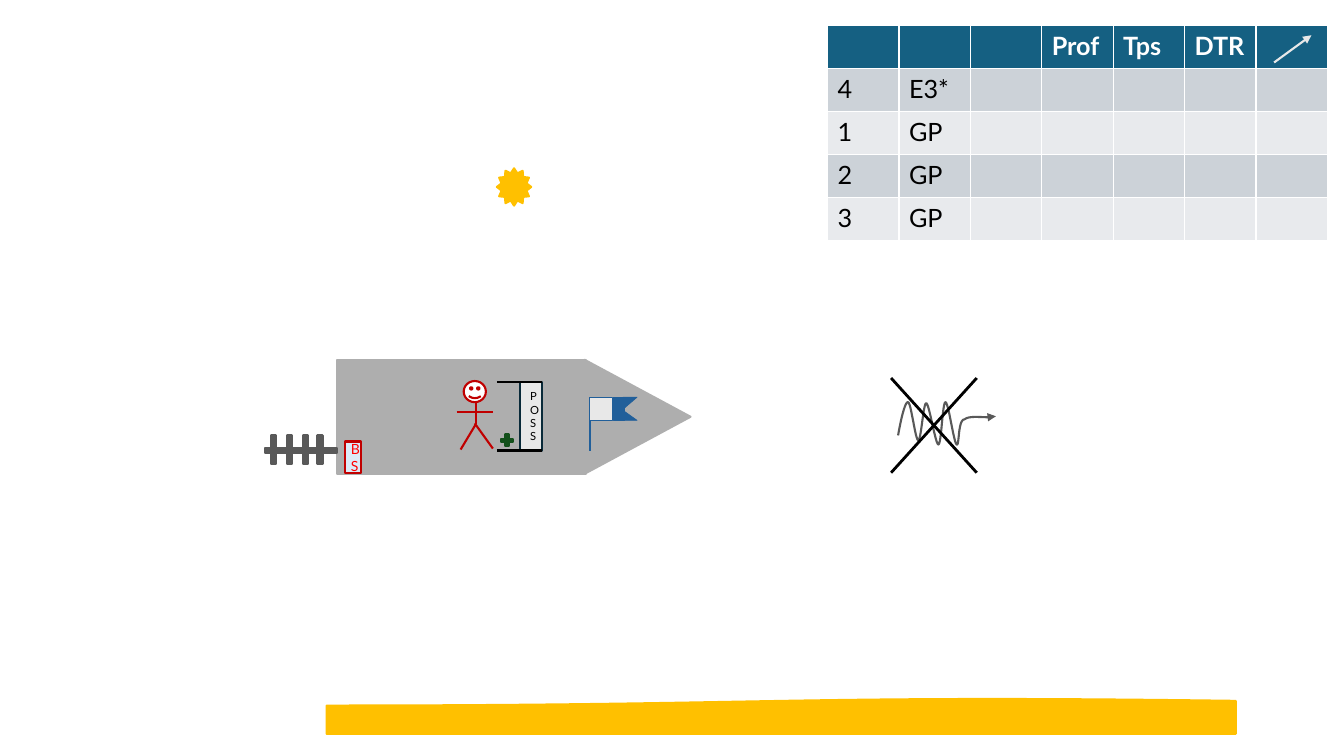
from lxml import etree
from pptx import Presentation, util as u
from pptx.dml.color import RGBColor
from pptx.enum import shapes as s, text as t
from pptx.oxml import ns

CELL = u.Inches(0.1)  # the slide is a grid of 133.3 columns by 75 rows
KIND = s.MSO_SHAPE
FONT = "Lato"

WHITE = RGBColor(0xFF, 0xFF, 0xFF)
BLACK = RGBColor(0, 0, 0)
GOLD = RGBColor(0xFF, 0xC0, 0x00)
HULL = RGBColor(0xAE, 0xAE, 0xAE)
STEEL = RGBColor(0x59, 0x59, 0x59)
RED = RGBColor(0xC0, 0x00, 0x00)
BRIGHT = RGBColor(0xFF, 0x00, 0x00)
PALE = RGBColor(0xDC, 0xEA, 0xF7)
FLAG = RGBColor(0x21, 0x5F, 0x9A)
LIGHT = RGBColor(0xE8, 0xE8, 0xE8)
NAVY = RGBColor(0x09, 0x2A, 0x39)
GREEN = RGBColor(0x13, 0x50, 0x1B)
HEAD = RGBColor(0x15, 0x60, 0x82)
BANDS = [RGBColor(0xCC, 0xD2, 0xD8), RGBColor(0xE8, 0xEA, 0xED)]

ROWS = [
    ["", "", "", "Prof", "Tps", "DTR", ""],
    ["4", "E3*"],
    ["1", "GP"],
    ["2", "GP"],
    ["3", "GP"],
]
START = (89.1, 43.2)
CURVES = [  # two control points and an end point each
    [(89.4, 41.5), (89.8, 39.8), (90.1, 39.9)],
    [(90.4, 40), (90.8, 43.6), (91.1, 43.7)],
    [(91.4, 43.7), (91.6, 39.9), (91.9, 40)],
    [(92.2, 40.1), (92.8, 44.1), (93.1, 44.1)],
    [(93.4, 44.1), (93.5, 39.9), (93.8, 39.9)],
    [(94.1, 39.9), (94.6, 43.8), (94.9, 44.1)],
    [(95.2, 44.4), (95, 41.6), (95.7, 41.6)],
    [(96.3, 41.1), (98.3, 41.6), (98.8, 41.3)],
]


def grid(*vals):
    return [round(v * CELL) for v in vals]


def style(run, size, color, bold=False):
    run.font.name, run.font.size = FONT, u.Pt(size)
    run.font.color.rgb, run.font.bold = color, bold


def block(parent, kind, box, fill, edge=None, width=1.5, turn=0):
    shape = parent.add_shape(kind, *grid(*box))
    shape.shadow.inherit = False
    shape.fill.solid()
    shape.fill.fore_color.rgb = fill
    shape.line.color.rgb = edge or fill
    shape.line.width = u.Pt(width)
    shape.rotation = turn
    return shape


def label(shape, word, size, color):
    """Write a word downwards, one letter to a line."""
    frame = shape.text_frame
    frame.text = "\n".join(word)
    frame.vertical_anchor = t.MSO_ANCHOR.MIDDLE
    for para in frame.paragraphs:
        para.alignment = t.PP_ALIGN.CENTER
        style(para.runs[0], size, color)


def arrow(shape):
    """Put a triangle at the end of a line."""
    ln = shape.line._get_or_add_ln()
    etree.SubElement(ln, ns.qn("a:tailEnd"), type="triangle")


def line(parent, ends, color, width=1.5):
    link = parent.add_connector(s.MSO_CONNECTOR.STRAIGHT, *grid(*ends))
    link.line.color.rgb = color
    link.line.width = u.Pt(width)
    etree.SubElement(link._element.spPr, ns.qn("a:effectLst"))
    return link


def bend(start, curve, steps=12):
    """Points along a cubic curve, without its start."""
    pts = [start, *curve]
    for step in range(1, steps + 1):
        k = step / steps
        parts = ((1 - k) ** 3, 3 * k * (1 - k) ** 2, 3 * k * k * (1 - k), k ** 3)
        yield grid(*(sum(p * pt[i] for p, pt in zip(parts, pts)) for i in (0, 1)))


def ship(parent):
    block(parent, KIND.RECTANGLE, (33.4, 35.7, 24.7, 11.3), HULL)
    block(parent, KIND.ISOSCELES_TRIANGLE, (57.6, 36.1, 11.3, 10.5), HULL, turn=90)
    block(parent, KIND.RECTANGLE, (26.3, 44.4, 7.1, 0.5), STEEL)
    for left in (31.5, 30.1, 28.5, 26.9):
        block(parent, KIND.RECTANGLE, (left, 43.2, 0.5, 2.8), STEEL)
    stern = block(parent, KIND.RECTANGLE, (34.2, 43.8, 1.6, 3.1), PALE, RED)
    label(stern, "BS", 10, BRIGHT)


def flag(parent):
    line(parent, (58.5, 39.4, 58.5, 44.7), FLAG)
    block(parent, KIND.RECTANGLE, (60.8, 39.4, 1.1, 2.3), FLAG, width=0.5)
    block(parent, KIND.RIGHT_TRIANGLE, (61.9, 39.3, 1.2, 1.4), FLAG, width=0.5, turn=90)
    block(parent, KIND.RECTANGLE, (58.5, 39.4, 2.3, 2.3), LIGHT, FLAG, 0.5)
    tip = block(parent, KIND.RIGHT_TRIANGLE, (62, 40.5, 1, 1.4), FLAG, width=0.5, turn=90)
    tip._element.spPr.xfrm.set("flipH", "1")


def post(parent):
    board = block(parent, KIND.RECTANGLE, (51.6, 37.9, 2.2, 6.8), LIGHT, NAVY)
    label(board, "POSS", 8, BLACK)
    for row in (37.9, 44.7):
        line(parent, (49.3, row, 53.8, row), BLACK)
    block(parent, KIND.MATH_PLUS, (49.5, 42.9, 1.6, 1.6), GREEN)


def diver(parent):
    block(parent, KIND.SMILEY_FACE, (46, 37.8, 2.2, 2.1), WHITE, RED)
    for ends in (
        (47.2, 39.9, 47.2, 42.1),
        (47.1, 42, 48.9, 44.5),
        (47.2, 42.1, 45.7, 44.6),
        (45.3, 40.9, 48.9, 40.9),
    ):
        line(parent, ends, RED)


def table(parent):
    tab = parent.add_table(5, 7, *grid(82.1, 2.5, 49.6, 21.4)).table
    for r, row in enumerate(tab.rows):
        words = ROWS[r] + [""] * (7 - len(ROWS[r]))
        for cell, word in zip(row.cells, words):
            cell.fill.solid()
            cell.fill.fore_color.rgb = BANDS[(r - 1) % 2] if r else HEAD
            if word:
                cell.text_frame.text = word
                run = cell.text_frame.paragraphs[0].runs[0]
                style(run, 18, BLACK if r else WHITE, r == 0)


def wave(parent):
    points, start = [], START
    for curve in CURVES:
        points += bend(start, curve)
        start = curve[-1]
    pen = parent.build_freeform(*grid(*START))
    pen.add_line_segments(points, close=False)
    shape = pen.convert_to_shape()
    shape.shadow.inherit = False
    shape.fill.background()
    shape.line.color.rgb = STEEL
    shape.line.width = u.Pt(1.5)
    arrow(shape)
    for top, low in ((37.5, 46.9), (46.9, 37.5)):
        line(parent, (88.4, top, 96.9, low), BLACK, 2)


def main():
    prs = Presentation()
    prs.slide_width, prs.slide_height = grid(133.33, 75)
    page = prs.slides.add_slide(prs.slide_layouts[6]).shapes
    block(page, KIND.STAR_12_POINT, (49.3, 16.7, 3.4, 3.7), GOLD)
    boat = page.add_group_shape().shapes
    for draw in (ship, flag, post, diver):
        draw(boat)
    table(page)
    arrow(line(page, (126.4, 6.2, 130.1, 3.5), LIGHT))
    block(page, KIND.FLOWCHART_DOCUMENT, (32.4, 69.3, 90.2, 3.5), GOLD, turn=180)
    wave(page.add_group_shape().shapes)
    prs.save("out.pptx")


if __name__ == "__main__":
    main()
